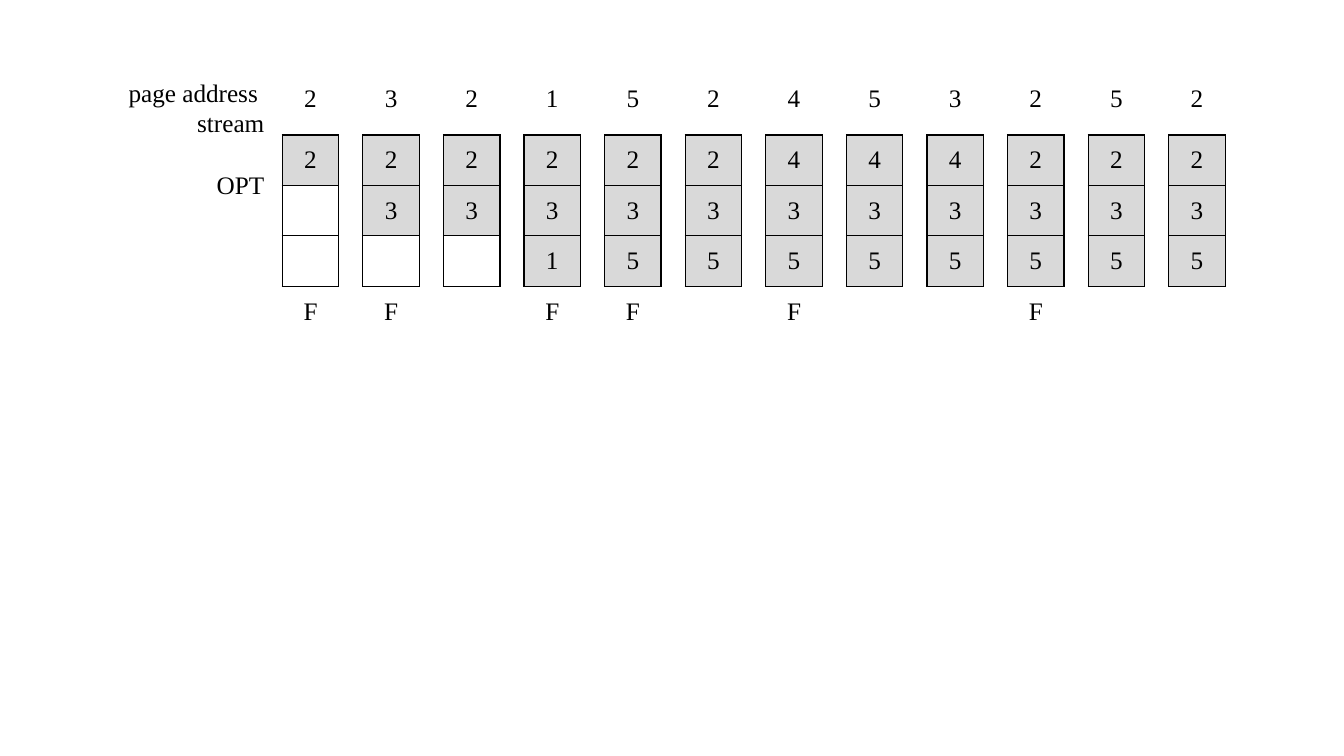
from dataclasses import dataclass

from lxml import etree
from pptx import Presentation
from pptx.dml.color import RGBColor
from pptx.enum.text import MSO_ANCHOR, PP_ALIGN
from pptx.oxml.ns import qn
from pptx.util import Inches, Pt


@dataclass(frozen=True)
class Theme:
    font: str = "Times New Roman"
    size: int = 18
    ink: str = "000000"
    loaded: str = "D9D9D9"
    line: float = 1


THEME = Theme()

# One character per time step; a space is an empty place
STREAM = "232152453252"
FRAMES = ["222222444222", " 33333333333", "   155555555"]
FAULTS = "FF FF F  F  "
ROWS = [STREAM, *FRAMES, FAULTS]
FRAME_ROWS = range(1, 1 + len(FRAMES))

ROW_HEIGHTS = [0.55, 0.5, 0.5, 0.5, 0.5]
FRAME_WIDTH, GAP_WIDTH = 0.56, 0.23


def write(paragraph, text, align):
    paragraph.alignment = align
    run = paragraph.add_run()
    run.text = text
    run.font.name = THEME.font
    run.font.size = Pt(THEME.size)
    run.font.color.rgb = RGBColor.from_string(THEME.ink)


def add_label(slide, box, lines):
    """Right-aligned row label, one paragraph per line."""
    frame = slide.shapes.add_textbox(*map(Inches, box)).text_frame
    frame.word_wrap = True
    for i, line in enumerate(lines):
        paragraph = frame.add_paragraph() if i else frame.paragraphs[0]
        write(paragraph, line, PP_ALIGN.RIGHT)


def is_frame(row, col):
    return row in FRAME_ROWS and col % 2 == 0 and 0 <= col < 2 * len(STREAM)


def set_borders(cell, row, col):
    """Draw each edge that touches a memory frame, and clear the others."""
    neighbours = {"L": (row, col - 1), "R": (row, col + 1),
                  "T": (row - 1, col), "B": (row + 1, col)}
    properties = cell._tc.get_or_add_tcPr()
    for side, neighbour in neighbours.items():
        line = etree.SubElement(properties, qn(f"a:ln{side}"), w=str(Pt(THEME.line)))
        if is_frame(row, col) or is_frame(*neighbour):
            fill = etree.SubElement(line, qn("a:solidFill"))
            etree.SubElement(fill, qn("a:srgbClr"), val=THEME.ink)
        else:
            etree.SubElement(line, qn("a:noFill"))


def add_trace(slide, left, top):
    """Page stream, memory frames and faults, with a gap between time steps."""
    widths = [GAP_WIDTH if col % 2 else FRAME_WIDTH
              for col in range(2 * len(STREAM) - 1)]
    box = (left, top, sum(widths), sum(ROW_HEIGHTS))
    table = slide.shapes.add_table(len(ROWS), len(widths), *map(Inches, box)).table
    table.first_row = table.horz_banding = False
    for column, width in zip(table.columns, widths):
        column.width = Inches(width)
    for row, height in enumerate(ROW_HEIGHTS):
        table.rows[row].height = Inches(height)
        for col in range(len(widths)):
            cell = table.cell(row, col)
            text = " " if col % 2 else ROWS[row][col // 2]
            set_borders(cell, row, col)
            cell.vertical_anchor = MSO_ANCHOR.MIDDLE if row else MSO_ANCHOR.TOP
            if text != " ":
                write(cell.text_frame.paragraphs[0], text, PP_ALIGN.CENTER)
            if text != " " and is_frame(row, col):
                cell.fill.solid()
                cell.fill.fore_color.rgb = RGBColor.from_string(THEME.loaded)
            else:
                cell.fill.background()


presentation = Presentation()
presentation.slide_width = Inches(13.33)
presentation.slide_height = Inches(7.5)
slide = presentation.slides.add_slide(presentation.slide_layouts[6])

# Row labels and the replacement trace
add_label(slide, (1.17, 0.72, 1.55, 0.71), ["page address ", "stream"])
add_trace(slide, 2.8, 0.79)
add_label(slide, (1.73, 1.63, 0.99, 0.4), ["OPT"])

presentation.save("out.pptx")
